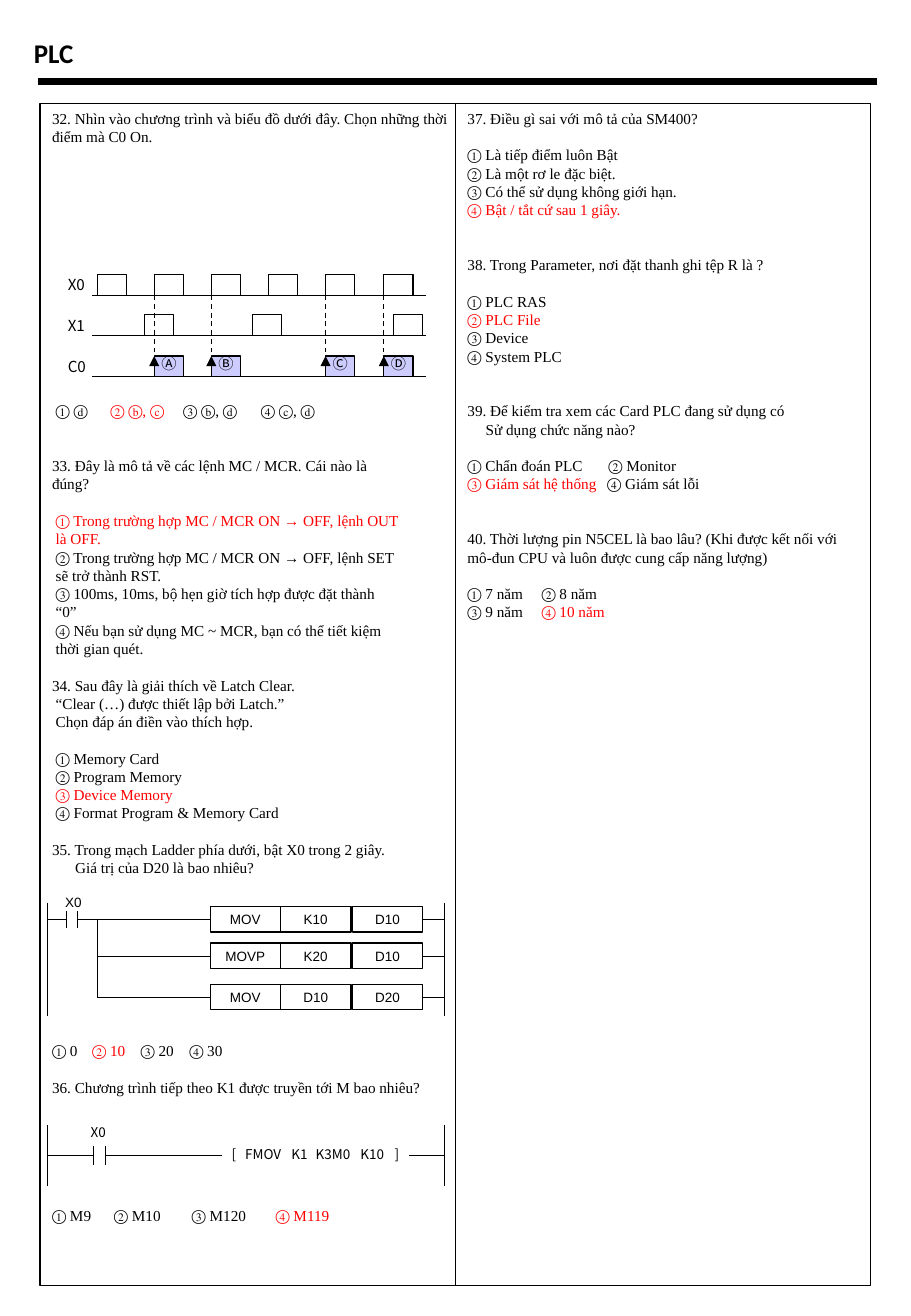
from lxml import etree
from pptx import Presentation
from pptx.dml.color import RGBColor
from pptx.enum.dml import MSO_LINE
from pptx.enum.shapes import MSO_CONNECTOR, MSO_SHAPE
from pptx.enum.text import MSO_ANCHOR, PP_ALIGN
from pptx.oxml.ns import qn
from pptx.util import Pt

PX = 9144  # 100 px to the inch
RECT, STRAIGHT = MSO_SHAPE.RECTANGLE, MSO_CONNECTOR.STRAIGHT
DASH = MSO_LINE.DASH
LEFT, CENTER = PP_ALIGN.LEFT, PP_ALIGN.CENTER
TOP, MIDDLE = MSO_ANCHOR.TOP, MSO_ANCHOR.MIDDLE
BLACK, RED, WHITE, LILAC = "000000", "FF0000", "FFFFFF", "CCCCFF"
SERIF, SANS, CJK, TITLE = "Times New Roman", "Arial", "Noto Sans CJK KR", "Calibri"
LINE_PT = 10.83

# Each line: (empty lines above, text, indent, tab stops); *...* is red, | is a tab.
LEFT_QUESTIONS = [
    (0, "32. Nhìn vào chương trình và biểu đồ dưới đây. Chọn những thời điểm mà C0 On.", 0, ()),
    (14, "|① ⓓ|*② ⓑ, ⓒ*|③ ⓑ, ⓓ|④ ⓒ, ⓓ", 0, (3, 48, 108, 172)),
    (2, "33. Đây là mô tả về các lệnh MC / MCR. Cái nào là", 0, ()),
    (0, "đúng?", 0, ()),
    (1, "*① Trong trường hợp MC / MCR ON → OFF, lệnh OUT*", 3, ()),
    (0, "*là OFF.*", 3, ()),
    (0, "② Trong trường hợp MC / MCR ON → OFF, lệnh SET", 3, ()),
    (0, "sẽ trở thành RST.", 3, ()),
    (0, "③ 100ms, 10ms, bộ hẹn giờ tích hợp được đặt thành", 3, ()),
    (0, "“0”", 3, ()),
    (0, "④ Nếu bạn sử dụng MC ~ MCR, bạn có thể tiết kiệm", 3, ()),
    (0, "thời gian quét.", 3, ()),
    (1, "34. Sau đây là giải thích về Latch Clear.", 0, ()),
    (0, "“Clear (…) được thiết lập bởi Latch.”", 3, ()),
    (0, "Chọn đáp án điền vào thích hợp.", 3, ()),
    (1, "① Memory Card", 3, ()),
    (0, "② Program Memory", 3, ()),
    (0, "*③ Device Memory*", 3, ()),
    (0, "④ Format Program & Memory Card", 3, ()),
    (1, "35. Trong mạch Ladder phía dưới, bật X0 trong 2 giây.", 0, ()),
    (0, "Giá trị của D20 là bao nhiêu?", 19, ()),
    (9, "① 0|*② 10*|③ 20|④ 30", 0, (33, 73, 113)),
    (1, "36. Chương trình tiếp theo K1 được truyền tới M bao nhiêu?", 0, ()),
    (6, "① M9|② M10|③ M120|*④ M119*", 0, (51, 115, 184)),
]
RIGHT_QUESTIONS = [
    (0, "37. Điều gì sai với mô tả của SM400?", 0, ()),
    (1, "① Là tiếp điểm luôn Bật", 0, ()),
    (0, "② Là một rơ le đặc biệt.", 0, ()),
    (0, "③ Có thể sử dụng không giới hạn.", 0, ()),
    (0, "*④ Bật / tắt cứ sau 1 giây.*", 0, ()),
    (2, "38. Trong Parameter, nơi đặt thanh ghi tệp R là ?", 0, ()),
    (1, "① PLC RAS", 0, ()),
    (0, "*② PLC File*", 0, ()),
    (0, "③ Device", 0, ()),
    (0, "④ System PLC", 0, ()),
    (2, "39. Để kiểm tra xem các Card PLC đang sử dụng có", 0, ()),
    (0, "Sử dụng chức năng nào?", 15, ()),
    (1, "① Chẩn đoán PLC|② Monitor", 0, (116,)),
    (0, "*③ Giám sát hệ thống*|④ Giám sát lỗi", 0, (115,)),
    (2, "40. Thời lượng pin N5CEL là bao lâu? (Khi được kết nối với mô-đun CPU "
        "và luôn được cung cấp năng lượng)", 0, ()),
    (1, "① 7 năm|② 8 năm", 0, (61,)),
    (0, "③ 9 năm|*④ 10 năm*", 0, (61,)),
]


def rgb(code):
    return RGBColor.from_string(code)


def style(run, font, size, color=BLACK, bold=False):
    run.font.size, run.font.bold = Pt(size), bold
    run.font.color.rgb = rgb(color)
    run.font.name = font
    etree.SubElement(run.font._element, qn("a:ea"), typeface=font)


def set_tabs(paragraph, stops):
    tabs = etree.SubElement(paragraph._p.get_or_add_pPr(), qn("a:tabLst"))
    for stop in stops:
        etree.SubElement(tabs, qn("a:tab"), pos=str(stop * PX), algn="l")


def line(slide, x1, y1, x2, y2, width=0.75, dash=None, arrow=False):
    """Draw a straight line; an arrow points at its first end."""
    wire = slide.shapes.add_connector(STRAIGHT, x1 * PX, y1 * PX, x2 * PX, y2 * PX)
    wire.line.color.rgb, wire.line.width = rgb(BLACK), Pt(width)
    if dash:
        wire.line.dash_style = dash
    if arrow:
        etree.SubElement(wire.line._get_or_add_ln(), qn("a:headEnd"), type="triangle")
    etree.SubElement(wire._element.spPr, qn("a:effectLst"))


def rect(slide, x, y, w, h, fill=None):
    box = slide.shapes.add_shape(RECT, x * PX, y * PX, w * PX, h * PX)
    box.shadow.inherit = False
    box.line.color.rgb, box.line.width = rgb(BLACK), Pt(0.75)
    if fill:
        box.fill.solid()
        box.fill.fore_color.rgb = rgb(fill)
    else:
        box.fill.background()
    return box


def label(slide, x, y, w, h, text, font, size, align=LEFT, bold=False, tabs=()):
    frame = slide.shapes.add_textbox(x * PX, y * PX, w * PX, h * PX).text_frame
    frame.word_wrap = align == CENTER
    paragraph = frame.paragraphs[0]
    paragraph.text = text.replace("|", "\t")
    paragraph.alignment = align
    if tabs:
        set_tabs(paragraph, tabs)
    style(paragraph.runs[0], font, size, bold=bold)


def header(slide, x, y, w):
    line(slide, x, y + 42, x + w, y + 42, width=4.5)
    label(slide, x - 13, y, 54, 37, "PLC", TITLE, 16, bold=True)


def question_column(slide, x, y, w, h, questions, right_inset):
    frame = rect(slide, x, y, w, h).text_frame
    frame.word_wrap, frame.vertical_anchor = True, TOP
    frame.margin_right = right_inset * PX
    for number, (gap, text, indent, tabs) in enumerate(questions):
        paragraph = frame.add_paragraph() if number else frame.paragraphs[0]
        paragraph.alignment = LEFT
        if indent:
            paragraph._p.get_or_add_pPr().set("marL", str(indent * PX))
        if tabs:
            set_tabs(paragraph, tabs)
        paragraph.line_spacing = Pt(LINE_PT)
        if gap:
            paragraph.space_before = Pt(gap * LINE_PT)
        for part, piece in enumerate(text.replace("|", "\t").split("*")):
            if piece:
                run = paragraph.add_run()
                run.text = piece
                style(run, SERIF, 9, RED if part % 2 else BLACK)


def timing_chart(slide, x, y, w):
    """Draw the X0, X1 and C0 signals below the top y."""
    pulse_w, pulse_h = 24, 17
    x0_base, x1_base, c0_base = y + 17, y + 50, y + 84
    axis_x = x + 30
    x0_pulses = [x + 34 + i * 236 // 5 for i in range(6)]
    x1_pulses = [x + 73, x + 162, x + 278]
    counts = [(x0_pulses[i], letter) for i, letter in zip((1, 2, 4, 5), "ⒶⒷⒸⒹ")]

    for name, base in (("X0", x0_base), ("X1", x1_base), ("C0", c0_base)):
        line(slide, axis_x, base, x + w, base)
        label(slide, x, base - 21, 35, 25, name, CJK, 9)
    for pulses, base in ((x0_pulses, x0_base), (x1_pulses, x1_base)):
        for left in pulses:
            rect(slide, left, base - pulse_h, pulse_w, pulse_h)
    for left, letter in counts:
        line(slide, left, x0_base, left, c0_base, dash=DASH)
        rect(slide, left, c0_base - pulse_h, pulse_w, pulse_h, LILAC)
        line(slide, left, c0_base - pulse_h, left, c0_base - 1, arrow=True)
        label(slide, left - 4, c0_base - 23, 33, 25, letter, CJK, 9)


def rails_and_contact(slide, x, y, w, h, wire_y, contact_x, gap, reach):
    """Draw both power rails and a contact on the wire."""
    for rail_x in (x, x + w):
        line(slide, rail_x, y, rail_x, y + h)
    line(slide, x, wire_y, contact_x, wire_y)
    for bar_x in (contact_x, contact_x + gap):
        line(slide, bar_x, wire_y - reach, bar_x, wire_y + reach)


def mov_ladder(slide, x, y, w, h):
    wire_y, branch_x = y + 14, x + 41
    rungs = [(wire_y, ("MOV", "K10", "D10")), (y + 44, ("MOVP", "K20", "D10")),
             (y + 78, ("MOV", "D10", "D20"))]
    rails_and_contact(slide, x, y, w, h, wire_y, x + 16, 9, 7)
    label(slide, x + 4, y - 12, 35, 24, "X0", SANS, 8, CENTER)
    line(slide, branch_x, wire_y, branch_x, rungs[-1][0])
    for rung_y, operands in rungs:
        line(slide, x + 25 if rung_y == wire_y else branch_x, rung_y, x + w, rung_y)
        for i, operand in enumerate(operands):
            cell = rect(slide, x + 134 + 176 * i // 3, rung_y - 11, 58, 21, WHITE)
            frame = cell.text_frame
            frame.text, frame.vertical_anchor = operand, MIDDLE
            frame.paragraphs[0].alignment = CENTER
            style(frame.paragraphs[0].runs[0], SANS, 8)


def fmov_ladder(slide, x, y, w, h):
    wire_y = y + 25
    rails_and_contact(slide, x, y, w, h, wire_y, x + 38, 10, 8)
    label(slide, x + 22, y - 6, 40, 24, "X0", CJK, 8, CENTER)
    line(slide, x + 48, wire_y, x + 144, wire_y)
    label(slide, x + 142, y + 12, 160, 24, "[|FMOV|K1|K3M0|K10|]", CJK, 8,
          tabs=(11, 49, 69, 106, 134))
    line(slide, x + 298, wire_y, x + w, wire_y)


def main():
    deck = Presentation()
    deck.slide_width, deck.slide_height = 750 * PX, 1083 * PX
    slide = deck.slides.add_slide(deck.slide_layouts[6])
    header(slide, 31, 25, 691)
    question_column(slide, 33, 85, 342, 973, LEFT_QUESTIONS, 0)
    question_column(slide, 375, 85, 342, 973, RIGHT_QUESTIONS, 10)
    timing_chart(slide, 46, 226, 305)
    mov_ladder(slide, 39, 743, 327, 93)
    fmov_ladder(slide, 39, 926, 327, 50)
    deck.save("out.pptx")


if __name__ == "__main__":
    main()
